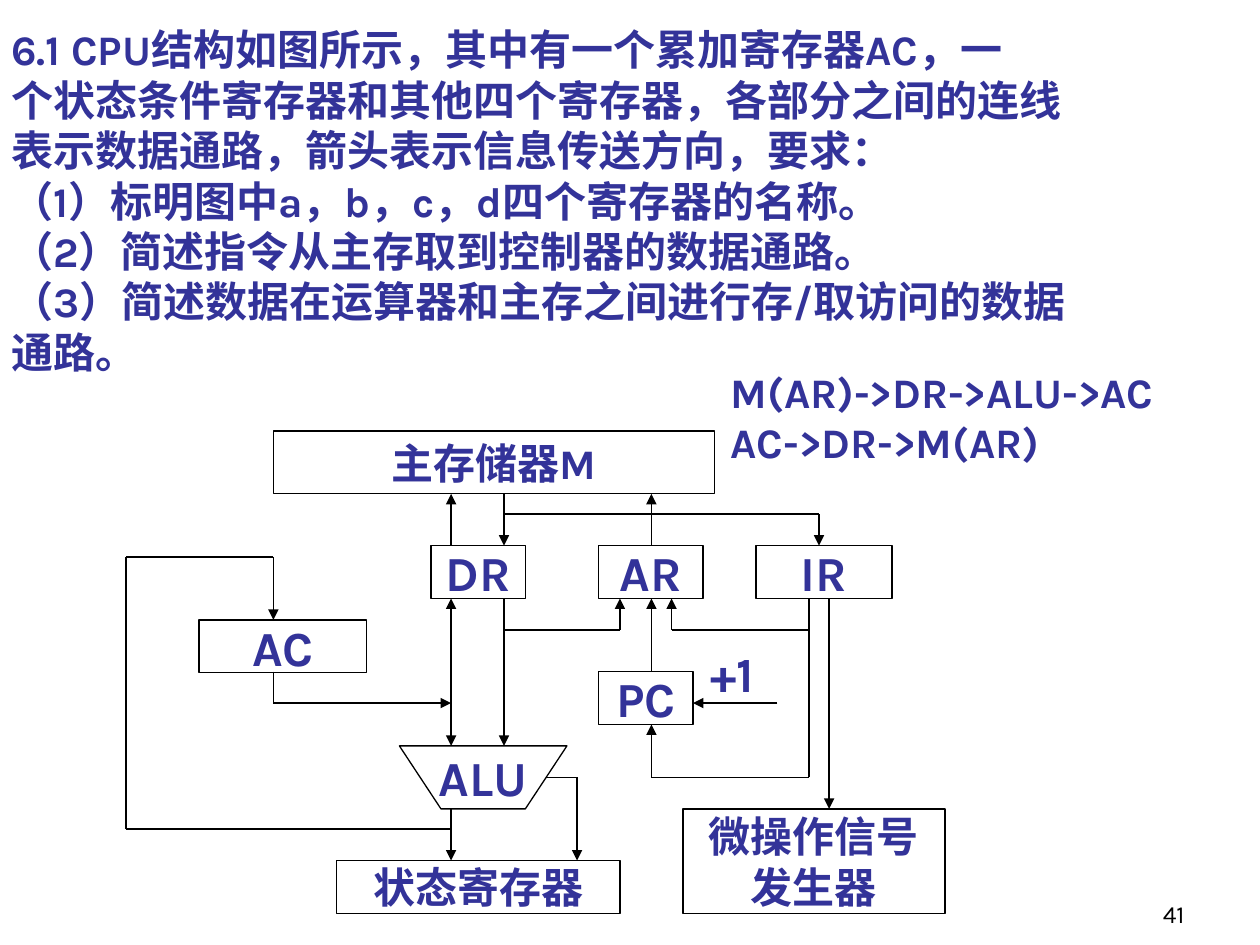
from dataclasses import dataclass
from itertools import pairwise

from lxml.etree import SubElement
from pptx import Presentation
from pptx.dml.color import RGBColor
from pptx.enum.shapes import MSO_CONNECTOR as Conn, MSO_SHAPE as Geo
from pptx.enum.text import MSO_ANCHOR as Anchor, PP_ALIGN as Align
from pptx.oxml.ns import qn
from pptx.util import Inches, Pt


@dataclass(frozen=True)
class Theme:
    font: str = "Karla"
    ink: RGBColor = RGBColor(0x33, 0x33, 0x99)
    black: RGBColor = RGBColor(0, 0, 0)
    small: int = 14
    body: int = 24
    label: int = 28
    line: float = 0.75


T = Theme()


@dataclass(frozen=True)
class Block:
    x: float
    y: float
    w: float
    h: float
    text: str
    size: int = T.label


@dataclass(frozen=True)
class Wire:
    points: tuple[tuple[float, float], ...]
    head: bool = False
    tail: bool = True


BLOCKS = [
    Block(2.17, 3.42, 3.5, 0.5, "主存储器M", T.body),
    Block(3.42, 4.33, 0.75, 0.42, "DR"),
    Block(4.75, 4.33, 0.83, 0.42, "AR"),
    Block(6, 4.33, 1.08, 0.42, "IR"),
    Block(1.58, 4.92, 1.33, 0.42, "AC"),
    Block(4.75, 5.33, 0.75, 0.42, "PC"),
    Block(2.67, 6.83, 2.25, 0.42, "状态寄存器", T.body),
    Block(5.42, 6.42, 2.08, 0.83, "微操作信号\n发生器", T.body),
]

ALU_OUTLINE = [(3.17, 5.92), (3.5, 6.42), (4.17, 6.42), (4.5, 5.92)]

WIRES = [
    Wire(((3.58, 4.33), (3.58, 3.92))),
    Wire(((4, 3.92), (4, 4.33))),
    Wire(((4, 4.75), (4, 5.92))),
    Wire(((5.17, 4.33), (5.17, 3.92))),
    Wire(((4, 4.08), (6.5, 4.08), (6.5, 4.33))),
    Wire(((3.58, 6.42), (3.58, 6.83))),
    Wire(((4.33, 6.17), (4.58, 6.17), (4.58, 6.83))),
    Wire(((3.58, 6.58), (1, 6.58), (1, 4.42), (2.17, 4.42), (2.17, 4.92))),
    Wire(((2.17, 5.33), (2.17, 5.58), (3.58, 5.58))),
    Wire(((4, 5), (4.92, 5), (4.92, 4.75))),
    Wire(((5.17, 5.33), (5.17, 4.75))),
    Wire(((6.42, 6.17), (5.17, 6.17), (5.17, 5.75))),
    Wire(((6.17, 5.58), (5.5, 5.58))),
    Wire(((6.42, 5), (5.33, 5), (5.33, 4.75))),
    Wire(((6.42, 6.17), (6.42, 4.75)), tail=False),
    Wire(((6.58, 4.75), (6.58, 6.42))),
    Wire(((3.58, 4.75), (3.58, 5.92)), head=True),
]

QUESTION = """6.1 CPU结构如图所示，其中有一个累加寄存器AC，一
个状态条件寄存器和其他四个寄存器，各部分之间的连线
表示数据通路，箭头表示信息传送方向，要求：
（1）标明图中a，b，c，d四个寄存器的名称。
（2）简述指令从主存取到控制器的数据通路。
（3）简述数据在运算器和主存之间进行存/取访问的数据
通路。"""

NOTES = [
    Block(-0.01, 0.14, 8.84, 2.9, QUESTION, T.body),
    Block(5.54, 5.06, 0.66, 0.57, "+1"),
    Block(5.7, 2.86, 4.3, 0.9, "M(AR)->DR->ALU->AC\nAC->DR->M(AR)", T.body),
]


def write(sp, text: str, size: int, align=Align.LEFT, anchor=Anchor.TOP,
          color: RGBColor = T.ink, bold: bool = True, wrap: bool = True) -> None:
    tf = sp.text_frame
    tf.word_wrap = wrap
    tf.vertical_anchor = anchor
    tf.text = text
    for p in tf.paragraphs:
        p.alignment = align
        p.font.name = T.font
        p.font.size = Pt(size)
        p.font.bold = bold
        p.font.color.rgb = color


def style_box(sp, text: str, size: int) -> None:
    sp.shadow.inherit = False
    sp.fill.background()
    sp.line.color.rgb = T.black
    sp.line.width = Pt(T.line)
    write(sp, text, size, Align.CENTER, Anchor.MIDDLE, wrap=False)


def add_block(s, b: Block) -> None:
    sp = s.shapes.add_shape(Geo.RECTANGLE, Inches(b.x), Inches(b.y), Inches(b.w), Inches(b.h))
    style_box(sp, b.text, b.size)


def add_alu(s) -> None:
    start, *rest = [(Inches(x), Inches(y)) for x, y in ALU_OUTLINE]
    fb = s.shapes.build_freeform(*start)
    fb.add_line_segments(rest, close=True)
    style_box(fb.convert_to_shape(), "ALU", T.label)


def add_note(s, b: Block, **style) -> None:
    sp = s.shapes.add_textbox(Inches(b.x), Inches(b.y), Inches(b.w), Inches(b.h))
    write(sp, b.text, b.size, **style)


def add_wire(s, w: Wire) -> None:
    last = len(w.points) - 2
    for i, ((x1, y1), (x2, y2)) in enumerate(pairwise(w.points)):
        c = s.shapes.add_connector(Conn.STRAIGHT, Inches(x1), Inches(y1), Inches(x2), Inches(y2))
        c.line.color.rgb = T.black
        c.line.width = Pt(T.line)
        ln = c.line._get_or_add_ln()
        if w.head and i == 0:
            SubElement(ln, qn("a:headEnd"), type="triangle")
        if w.tail and i == last:
            SubElement(ln, qn("a:tailEnd"), type="triangle")
        SubElement(c._element.spPr, qn("a:effectLst"))


def main() -> None:
    prs = Presentation()
    prs.slide_width, prs.slide_height = Inches(10), Inches(7.5)
    s = prs.slides.add_slide(prs.slide_layouts[6])
    for b in BLOCKS:
        add_block(s, b)
    add_alu(s)
    for w in WIRES:
        add_wire(s, w)
    for b in NOTES:
        add_note(s, b)
    add_note(s, Block(7.42, 6.92, 2.08, 0.5, "41", T.small), align=Align.RIGHT,
             anchor=Anchor.BOTTOM, color=T.black, bold=False)
    prs.save("out.pptx")


if __name__ == "__main__":
    main()
